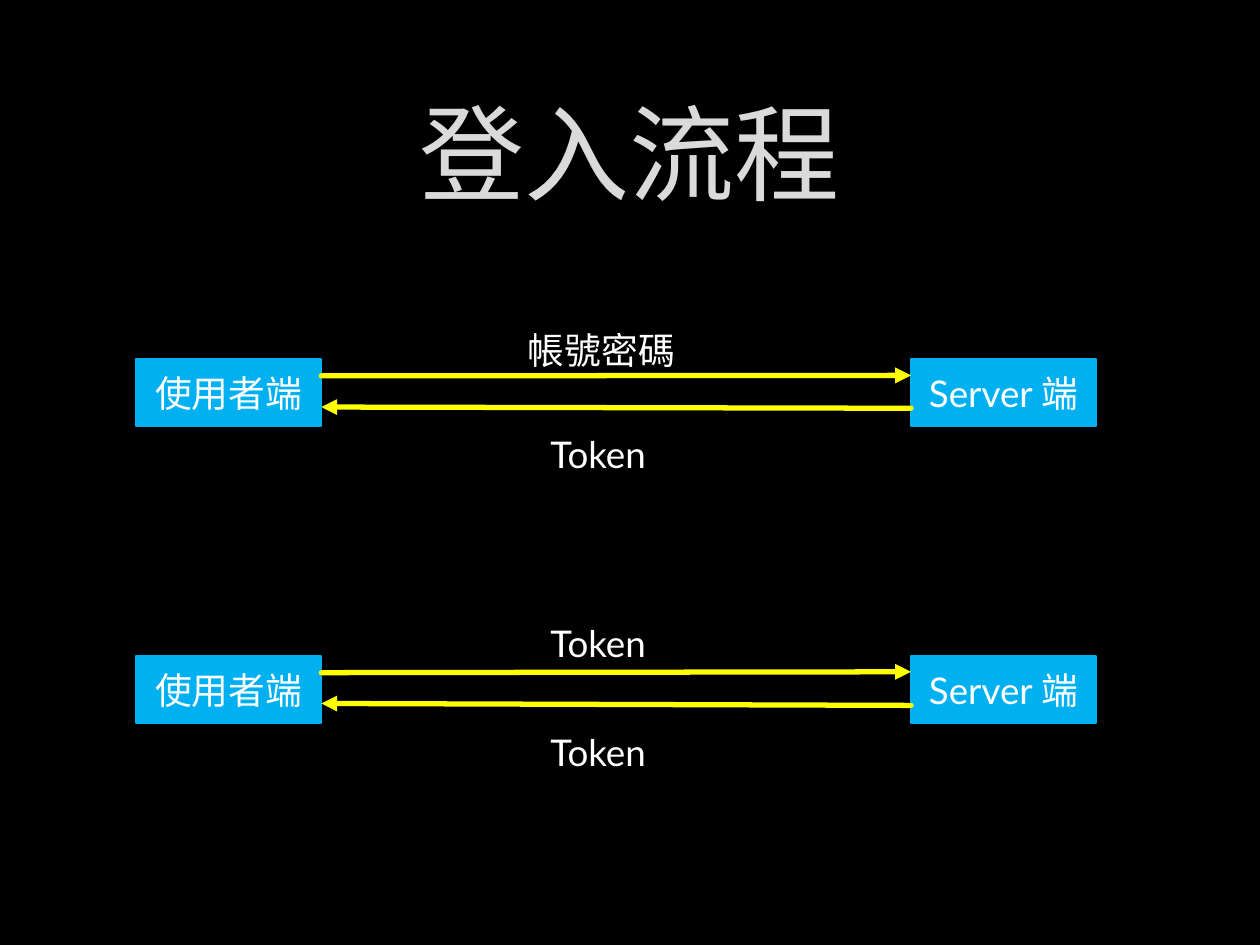
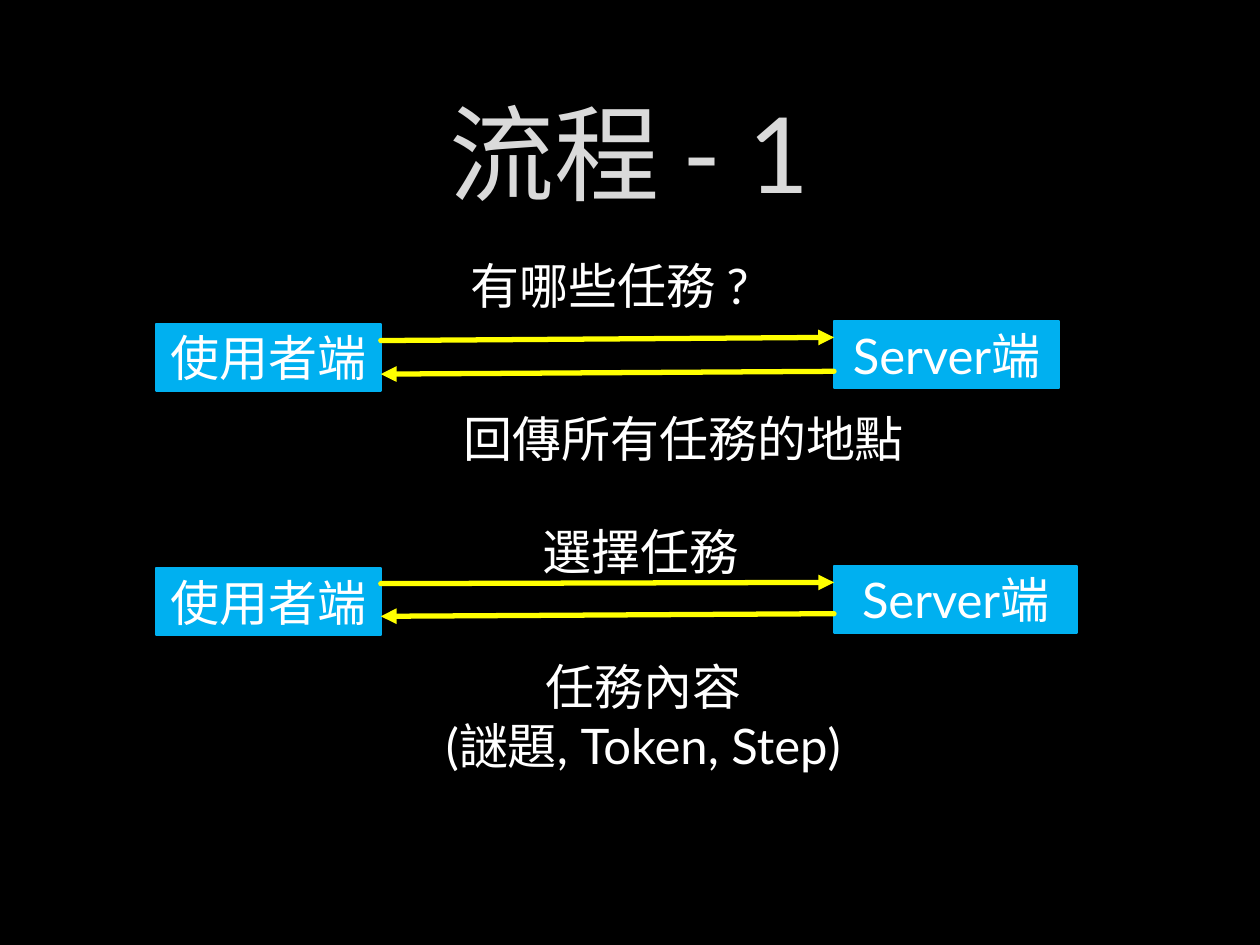
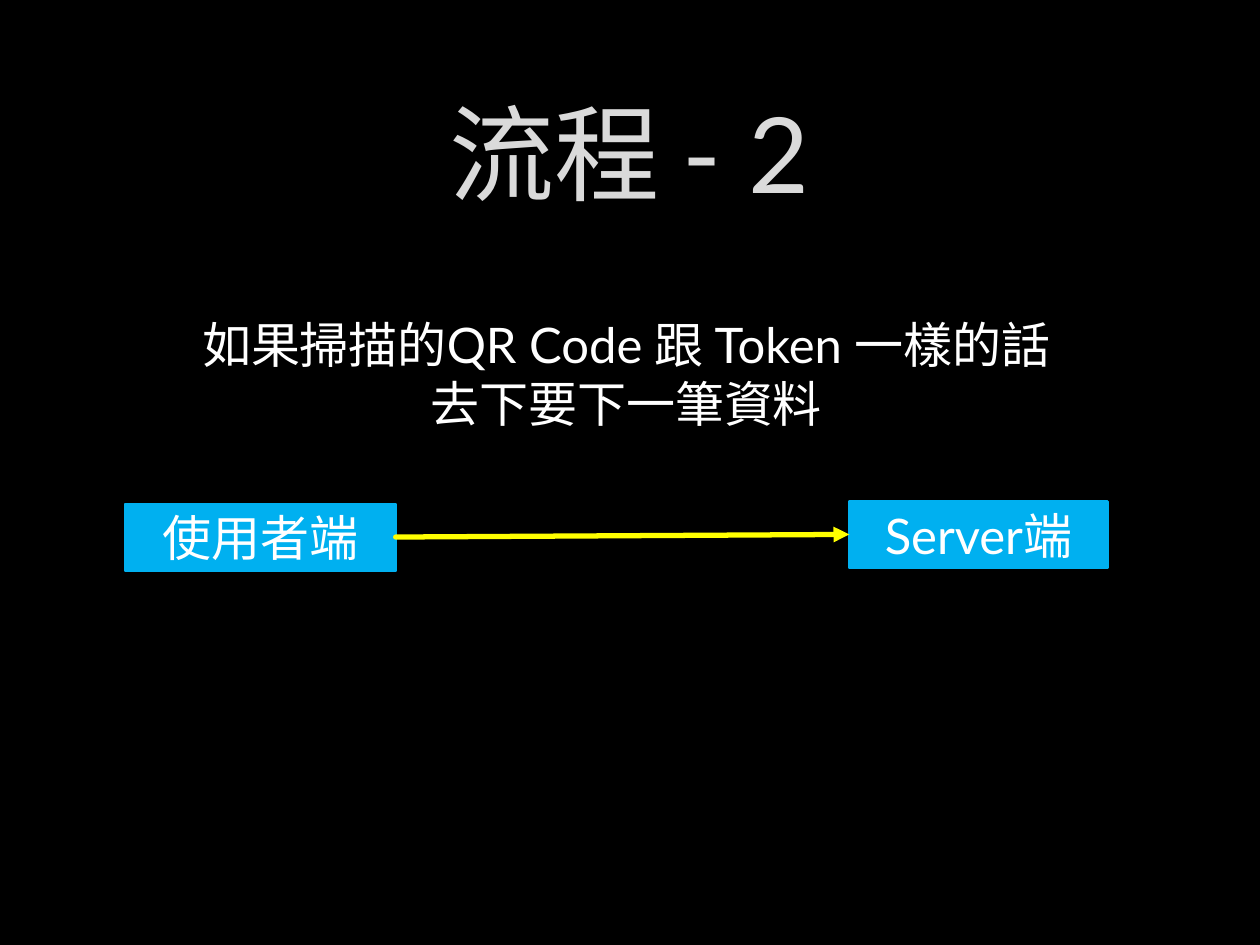
from dataclasses import dataclass

from lxml import etree
from pptx import Presentation
from pptx import util as u
from pptx.dml.color import RGBColor
from pptx.enum import shapes, text
from pptx.oxml.ns import qn

COLORS = {
    "background": "000000",
    "title": "DADADA",
    "title_edge": "404040",
    "endpoint": "00B0F0",
    "arrow": "FFFF00",
    "text": "FFFFFF",
}
FONT = "Lato"
ENDPOINT_HEIGHT = 38.2
CLIENT = "使用者端"


@dataclass(frozen=True)
class Endpoint:
    label: str
    left: float
    top: float
    width: float


@dataclass(frozen=True)
class Caption:
    lines: tuple[str, ...]
    left: float
    top: float
    width: float
    height: float


@dataclass(frozen=True)
class Message:
    """An arrow between the endpoints; a reply runs from server to client."""
    start_y: float
    end_y: float
    caption: Caption
    is_reply: bool = False


@dataclass(frozen=True)
class Exchange:
    client: Endpoint
    server: Endpoint
    messages: tuple[Message, ...]


@dataclass(frozen=True)
class FlowSlide:
    title: str
    text_size: float
    exchanges: tuple[Exchange, ...]


def rgb(name: str) -> RGBColor:
    return RGBColor.from_string(COLORS[name])


def write_text(frame, lines, *, size, color="text", align=text.PP_ALIGN.CENTER,
               anchor=text.MSO_ANCHOR.MIDDLE, wrap=True):
    frame.word_wrap = wrap
    frame.vertical_anchor = anchor
    for index, line in enumerate(lines):
        paragraph = frame.paragraphs[0] if index == 0 else frame.add_paragraph()
        paragraph.alignment = align
        run = paragraph.add_run()
        run.text = line
        run.font.name = FONT
        run.font.size = u.Pt(size)
        run.font.color.rgb = rgb(color)


def add_title(slide, title: str) -> None:
    box = slide.shapes.add_textbox(u.Pt(54), u.Pt(48.2), u.Pt(611.3), u.Pt(76.3))
    write_text(box.text_frame, [title], size=60, color="title")
    properties = box.text_frame.paragraphs[0].runs[0].font._element
    edge = etree.Element(qn("a:ln"), w=str(u.Pt(0.75)))
    fill = etree.SubElement(edge, qn("a:solidFill"))
    tint = etree.SubElement(fill, qn("a:srgbClr"), val=COLORS["title_edge"])
    etree.SubElement(tint, qn("a:alpha"), val="10000")
    properties.insert(0, edge)


def add_endpoint(slide, endpoint: Endpoint, size: float) -> None:
    box = slide.shapes.add_shape(
        shapes.MSO_SHAPE.RECTANGLE, u.Pt(endpoint.left), u.Pt(endpoint.top),
        u.Pt(endpoint.width), u.Pt(ENDPOINT_HEIGHT))
    box.shadow.inherit = False
    box.fill.solid()
    box.fill.fore_color.rgb = rgb("endpoint")
    box.line.color.rgb = rgb("endpoint")
    box.line.width = u.Pt(1.25)
    frame = box.text_frame
    frame.margin_left = frame.margin_right = u.Pt(5)
    frame.margin_top = frame.margin_bottom = u.Pt(3)
    write_text(frame, [endpoint.label], size=size)


def add_arrow(slide, start_x: float, start_y: float, end_x: float, end_y: float) -> None:
    arrow = slide.shapes.add_connector(
        shapes.MSO_CONNECTOR.STRAIGHT,
        u.Pt(start_x), u.Pt(start_y), u.Pt(end_x), u.Pt(end_y))
    arrow.line.color.rgb = rgb("arrow")
    arrow.line.width = u.Pt(3)
    stroke = arrow.line._get_or_add_ln()
    stroke.set("cap", "rnd")
    etree.SubElement(stroke, qn("a:tailEnd"), type="triangle")
    etree.SubElement(arrow._element.spPr, qn("a:effectLst"))


def add_caption(slide, caption: Caption, size: float) -> None:
    """Single lines start at the left; several lines are centred and wrap."""
    several = len(caption.lines) > 1
    box = slide.shapes.add_textbox(u.Pt(caption.left), u.Pt(caption.top),
                                   u.Pt(caption.width), u.Pt(caption.height))
    write_text(box.text_frame, caption.lines, size=size, wrap=several,
               align=text.PP_ALIGN.CENTER if several else text.PP_ALIGN.LEFT,
               anchor=text.MSO_ANCHOR.TOP)
    box.text_frame.auto_size = text.MSO_AUTO_SIZE.SHAPE_TO_FIT_TEXT


def add_exchange(slide, exchange: Exchange, size: float) -> None:
    client, server = exchange.client, exchange.server
    add_endpoint(slide, client, size)
    add_endpoint(slide, server, size)
    client_edge = client.left + client.width
    for message in exchange.messages:
        ends = (client_edge, server.left)
        start_x, end_x = reversed(ends) if message.is_reply else ends
        add_arrow(slide, start_x, message.start_y, end_x, message.end_y)
        add_caption(slide, message.caption, size)


def token_caption(top: float) -> Caption:
    return Caption(("Token",), 307.4, top, 70.6, 32.4)


def login_exchange(top: float, request: Message, reply: Message) -> Exchange:
    return Exchange(Endpoint(CLIENT, 77.8, top, 105.8),
                    Endpoint("Server 端", 520.6, top, 105.8), (request, reply))


def task_exchange(top: float, server_width: float, request: Message,
                  reply: Message) -> Exchange:
    return Exchange(Endpoint(CLIENT, 89, top, 128.6),
                    Endpoint("Server端", 476.6, top - 1.4, server_width),
                    (request, reply))


FLOWS = (
    FlowSlide("登入流程", 21, (
        login_exchange(
            205.2,
            Message(214.8, 214.5, Caption(("帳號密碼",), 294.5, 183.6, 99.4, 32.4)),
            Message(233.3, 232.6, token_caption(243.4), is_reply=True)),
        login_exchange(
            375,
            Message(384.4, 383.9, token_caption(351.4)),
            Message(403.1, 402, token_caption(413.3), is_reply=True)),
    )),
    FlowSlide("流程 - 1", 28, (
        task_exchange(
            185, 128.6,
            Message(194.6, 192.8, Caption(("有哪些任務 ?",), 262, 142.6, 174.2, 41)),
            Message(212.2, 213.8, Caption(("回傳所有任務的地點",), 257.8, 229.7, 269.3, 41),
                    is_reply=True)),
        task_exchange(
            324.7, 139,
            Message(333.5, 332.8, Caption(("選擇任務",), 303.1, 294.5, 127.4, 41)),
            Message(350.7, 352.2,
                    Caption(("任務內容", "(謎題, Token, Step)"), 244.1, 371.5, 247, 74.9),
                    is_reply=True)),
    )),
    FlowSlide("流程 - 2", 28, (
        Exchange(
            Endpoint(CLIENT, 71.3, 288, 154.8),
            Endpoint("Server端", 485.3, 286.6, 147.6),
            (Message(306.9, 305.4,
                     Caption(("如果掃描的QR Code 跟 Token 一樣的話", "去下要下一筆資料"),
                             104.4, 176.4, 506.9, 74.9)),)),
    )),
)


def main() -> None:
    deck = Presentation()
    deck.slide_width, deck.slide_height = u.Pt(720), u.Pt(540)
    for flow in FLOWS:
        slide = deck.slides.add_slide(deck.slide_layouts[6])
        slide.background.fill.solid()
        slide.background.fill.fore_color.rgb = rgb("background")
        add_title(slide, flow.title)
        for exchange in flow.exchanges:
            add_exchange(slide, exchange, flow.text_size)
    deck.save("out.pptx")


if __name__ == "__main__":
    main()
